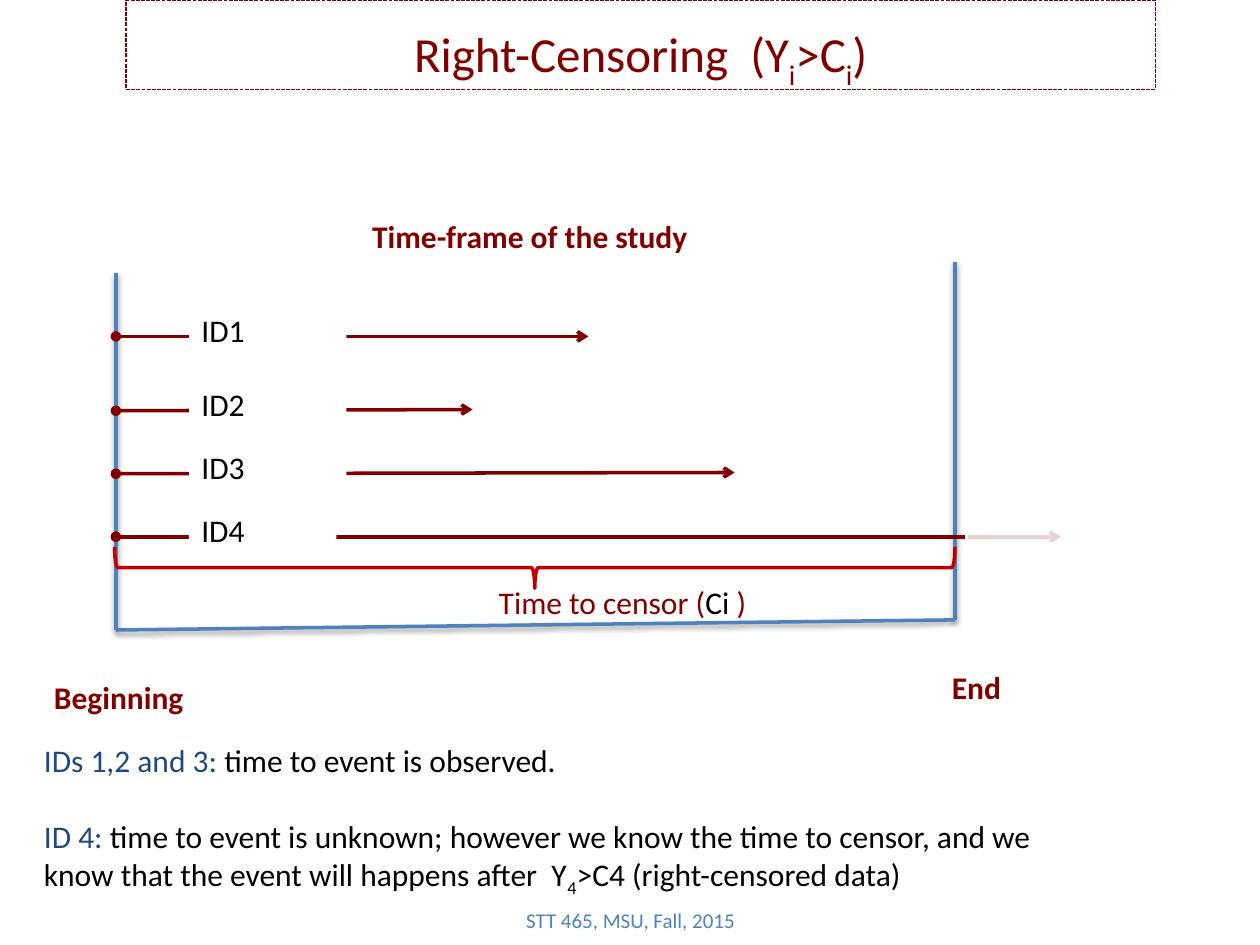
from dataclasses import dataclass

from lxml import etree
from pptx import Presentation
from pptx.dml.color import RGBColor
from pptx.enum.dml import MSO_LINE
from pptx.enum.shapes import MSO_CONNECTOR, MSO_SHAPE
from pptx.enum.text import MSO_ANCHOR, MSO_AUTO_SIZE, PP_ALIGN
from pptx.oxml.ns import qn
from pptx.util import Inches, Pt

STRAIGHT = MSO_CONNECTOR.STRAIGHT
RECTANGLE, LEFT_BRACE = MSO_SHAPE.RECTANGLE, MSO_SHAPE.LEFT_BRACE
LEFT, CENTER = PP_ALIGN.LEFT, PP_ALIGN.CENTER
TOP, MIDDLE = MSO_ANCHOR.TOP, MSO_ANCHOR.MIDDLE
SYS_DASH = MSO_LINE.SQUARE_DOT

COLORS = {"maroon": "800000", "red": "C00000", "blue": "4F81BD",
          "navy": "1F497D", "black": "000000", "white": "FFFFFF"}
FRAME_FORMAT = {"word_wrap": True, "auto_size": MSO_AUTO_SIZE.NONE}
LABEL_HEIGHT = 0.4
START_X, END_X = 0.92, 7.58
START_BOTTOM, END_BOTTOM = 5, 4.92


@dataclass
class Span:
    text: str
    color: str = "black"
    bold: bool = False
    subscript: bool = False


@dataclass
class Label:
    box: tuple[float, float, float, float]
    paragraphs: list[list[Span]]
    align: PP_ALIGN = LEFT
    anchor: MSO_ANCHOR = TOP
    size: float = 18
    gap: float = 0


@dataclass
class Subject:
    name: str
    start_y: float
    end_x: float
    end_y: float
    label_width: float = 1.25


def rgb(name: str) -> RGBColor:
    return RGBColor.from_string(COLORS[name])


def inches(*lengths: float) -> list[Inches]:
    return [Inches(length) for length in lengths]


def write_text(shape, label: Label) -> None:
    frame = shape.text_frame
    for name, value in {**FRAME_FORMAT, "vertical_anchor": label.anchor}.items():
        setattr(frame, name, value)
    for index, spans in enumerate(label.paragraphs):
        paragraph = frame.add_paragraph() if index else frame.paragraphs[0]
        paragraph.alignment = label.align
        if index:
            paragraph.space_before = Pt(label.gap)
        for span in spans:
            run = paragraph.add_run()
            run.text = span.text
            font_format = {"name": "Calibri", "size": Pt(label.size), "bold": span.bold}
            for name, value in font_format.items():
                setattr(run.font, name, value)
            run.font.color.rgb = rgb(span.color)
            if span.subscript:
                run.font._element.set("baseline", "-25000")


def add_label(shapes, label: Label) -> None:
    write_text(shapes.add_textbox(*inches(*label.box)), label)


def add_line(shapes, start: tuple[float, float], end: tuple[float, float], color: str):
    connector = shapes.add_connector(STRAIGHT, *inches(*start, *end))
    connector.line.color.rgb = rgb(color)
    connector.line.width = Pt(2)
    effects = etree.SubElement(connector._element.spPr, qn("a:effectLst"))
    return connector, effects


def add_frame_line(shapes, start: tuple[float, float], end: tuple[float, float]) -> None:
    """Draw one shadowed side of the study's time frame."""
    _, effects = add_line(shapes, start, end, "blue")
    shadow = etree.SubElement(effects, qn("a:outerShdw"), blurRad=str(Pt(3.1)),
                              dist=str(Pt(1.6)), dir="5400000", rotWithShape="0")
    shade = etree.SubElement(shadow, qn("a:srgbClr"), val=COLORS["black"])
    etree.SubElement(shade, qn("a:alpha"), val="38000")


def add_subject(shapes, subject: Subject) -> None:
    """Draw a follow-up arrow with its name over a white gap."""
    connector, _ = add_line(shapes, (START_X, subject.start_y),
                            (subject.end_x, subject.end_y), "maroon")
    for tag, kind in {"a:headEnd": "oval", "a:tailEnd": "arrow"}.items():
        etree.SubElement(connector.line._get_or_add_ln(), qn(tag), type=kind)
    box = (1.5, subject.start_y - 0.25, subject.label_width, LABEL_HEIGHT)
    cover = shapes.add_shape(RECTANGLE, *inches(*box))
    cover.shadow.inherit = False
    cover.fill.solid()
    cover.fill.fore_color.rgb = rgb("white")
    cover.line.fill.background()
    write_text(cover, Label(box, [[Span(subject.name)]]))


def add_brace(shapes) -> None:
    brace = shapes.add_shape(LEFT_BRACE, *inches(4.08, 1.17, 0.33, 6.67))
    brace.rotation = 270
    brace.shadow.inherit = False
    brace.fill.background()
    brace.line.color.rgb = rgb("red")
    brace.line.width = Pt(2)


def add_fade(shapes) -> None:
    """Veil the part of the last arrow that lies beyond the study's end."""
    veil = shapes.add_shape(RECTANGLE, *inches(7.67, 4, 0.92, 0.5))
    veil.shadow.inherit = False
    veil.fill.solid()
    veil.fill.fore_color.rgb = rgb("white")
    color = veil._element.spPr.find(qn("a:solidFill"))[0]
    etree.SubElement(color, qn("a:alpha"), val="82000")
    veil.line.color.rgb = rgb("white")
    veil.line.width = Pt(2)


def format_title(title) -> None:
    box = (1, 0, 8.17, 0.71)
    for name, value in zip(("left", "top", "width", "height"), inches(*box)):
        setattr(title, name, value)
    title.line.color.rgb = rgb("maroon")
    title.line.width = Pt(0.75)
    title.line.dash_style = SYS_DASH
    pieces = [("Right-Censoring  (Y", False), ("i", True), (">C", False),
              ("i", True), (")", False)]
    spans = [Span(text, "maroon", subscript=low) for text, low in pieces]
    write_text(title, Label(box, [spans], CENTER, size=28))
    title.text_frame.margin_top = Inches(0.19)


SUBJECTS = [
    Subject("ID1", 2.67, 4.67, 2.67),
    Subject("ID2", 3.26, 3.75, 3.25),
    Subject("ID3", 3.76, 5.83, 3.75),
    Subject("ID4", 4.26, 8.42, 4.26, label_width=1.17),
]
FRAME_LINES = [
    ((START_X, 2.17), (START_X, START_BOTTOM)),
    ((END_X, 2.08), (END_X, END_BOTTOM)),
    ((END_X, END_BOTTOM), (START_X, START_BOTTOM)),
]
LABELS = [
    Label((0.83, 1.67, 6.75, LABEL_HEIGHT),
          [[Span("Time-frame of the study", "maroon", True)]], CENTER),
    Label((0.33, 5.33, 1.5, LABEL_HEIGHT), [[Span("Beginning", "maroon", True)]]),
    Label((7, 5.25, 1.5, LABEL_HEIGHT), [[Span("End", "maroon", True)]], CENTER),
    Label((0.25, 5.83, 8.58, 1.31), [
        [Span("IDs 1,2 and 3: ", "navy"), Span("time to event is observed.")],
        [Span("ID 4: ", "navy"),
         Span("time to event is unknown; however we know the time to censor, "
              "and we know that the event will happens after  Y"),
         Span("4", subscript=True), Span(">C4 (right-censored data)")],
    ], gap=22),
    Label((3.86, 4.58, 2.48, LABEL_HEIGHT),
          [[Span("Time to censor (", "maroon"), Span("Ci "), Span(")", "maroon")]]),
    Label((3.42, 7.1, 3.17, LABEL_HEIGHT),
          [[Span("STT 465, MSU, Fall, 2015", "blue")]], CENTER, MIDDLE, size=12),
]


def main() -> None:
    presentation = Presentation()
    presentation.slide_width, presentation.slide_height = inches(10, 7.5)
    slide = presentation.slides.add_slide(presentation.slide_layouts[5])
    shapes = slide.shapes
    format_title(shapes.title)
    for start, end in FRAME_LINES:
        add_frame_line(shapes, start, end)
    for subject in SUBJECTS:
        add_subject(shapes, subject)
    add_brace(shapes)
    add_fade(shapes)
    for label in LABELS:
        add_label(shapes, label)
    presentation.save("out.pptx")


if __name__ == "__main__":
    main()
